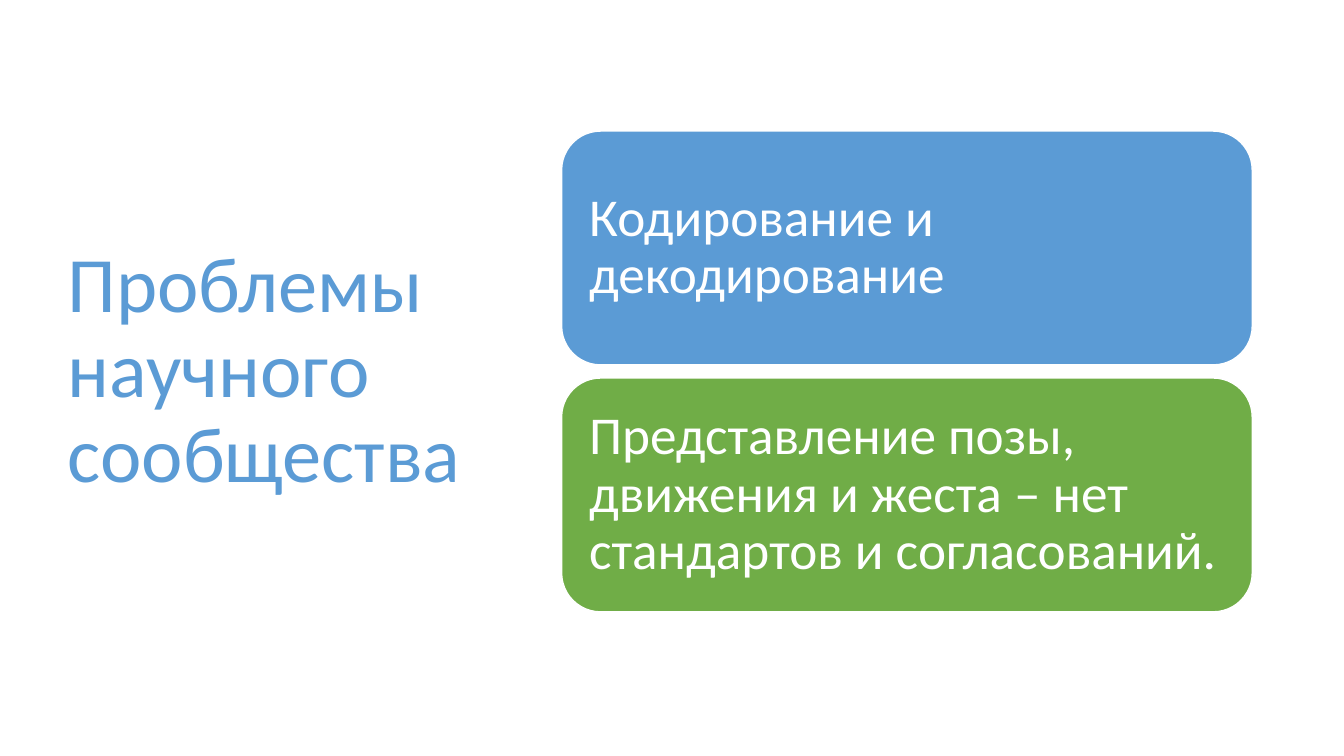
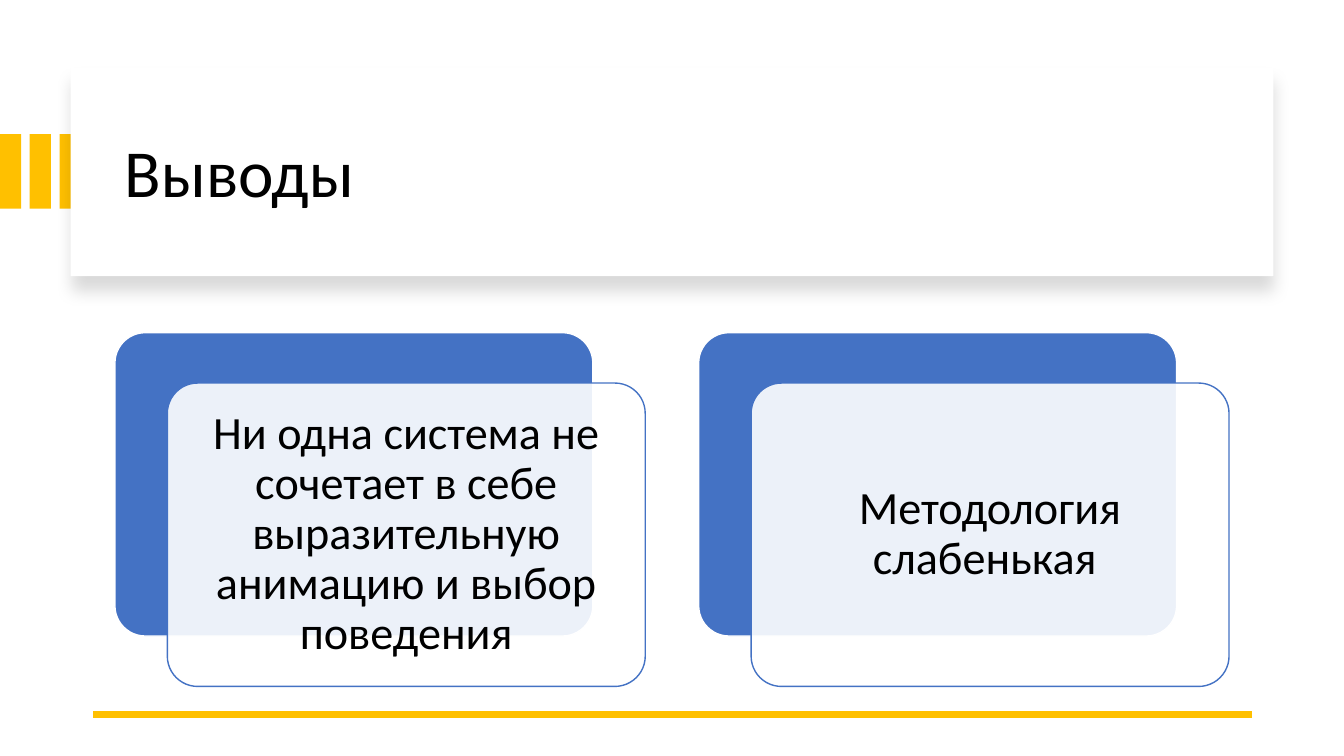
from dataclasses import dataclass
from typing import Optional

from lxml.etree import SubElement
from pptx import Presentation
from pptx.dml.color import RGBColor
from pptx.enum.shapes import MSO_CONNECTOR, MSO_SHAPE
from pptx.enum.text import MSO_ANCHOR, PP_ALIGN
from pptx.oxml.ns import qn
from pptx.util import Inches, Pt

FONT = "Calibri"
COLORS = {
    "white": "FFFFFF",
    "black": "000000",
    "sky": "5B9BD5",
    "green": "70AD47",
    "blue": "4472C4",
    "gold": "FFC000",
}


@dataclass(frozen=True)
class Box:
    left: float
    top: float
    width: float
    height: float

    def lengths(self):
        return [Inches(n) for n in (self.left, self.top, self.width, self.height)]

    def moved(self, right: float = 0, down: float = 0) -> "Box":
        return Box(self.left + right, self.top + down, self.width, self.height)


@dataclass(frozen=True)
class TextStyle:
    size: float
    color: str
    align: PP_ALIGN = PP_ALIGN.LEFT
    margin: Optional[float] = None


@dataclass(frozen=True)
class Problem:
    text: str
    color: str


PROBLEMS = [
    Problem("Кодирование и декодирование", "sky"),
    Problem("Представление позы, движения и жеста – нет стандартов и согласований.", "green"),
]
CONCLUSIONS = [
    "Ни одна система не сочетает в себе выразительную анимацию и выбор поведения",
    "Методология слабенькая ",
]
PROBLEM_TEXT = TextStyle(38, "white", margin=0.16)
CONCLUSION_TEXT = TextStyle(33, "black", PP_ALIGN.CENTER, 0.14)


def rgb(color: str) -> RGBColor:
    return RGBColor.from_string(COLORS[color])


def write(shape, text: str, style: TextStyle) -> None:
    frame = shape.text_frame
    frame.word_wrap = True
    frame.vertical_anchor = MSO_ANCHOR.MIDDLE
    if style.margin is not None:
        frame.margin_left = frame.margin_right = Inches(style.margin)
        frame.margin_top = frame.margin_bottom = Inches(style.margin)
    paragraph = frame.paragraphs[0]
    paragraph.text = text
    paragraph.alignment = style.align
    paragraph.line_spacing = 0.9
    paragraph.font.name = FONT
    paragraph.font.size = Pt(style.size)
    paragraph.font.color.rgb = rgb(style.color)


def add_title(slide, text: str, box: Box, style: TextStyle) -> None:
    write(slide.shapes.add_textbox(*box.lengths()), text, style)


def add_block(slide, box: Box, fill: str, outline: Optional[str] = None,
              corner: Optional[float] = None, kind=MSO_SHAPE.ROUNDED_RECTANGLE):
    block = slide.shapes.add_shape(kind, *box.lengths())
    block.shadow.inherit = False
    block.fill.solid()
    block.fill.fore_color.rgb = rgb(fill)
    if outline:
        block.line.color.rgb = rgb(outline)
        block.line.width = Pt(1)
    else:
        block.line.fill.background()
    if corner is not None:
        block.adjustments[0] = corner
    return block


def set_opacity(block, percent: int) -> None:
    color = block.fill._xPr.find(qn("a:solidFill"))[0]
    SubElement(color, qn("a:alpha"), val=str(percent * 1000))


def drop_shadow(block) -> None:
    """Cast a soft black shadow straight down."""
    effects = block._element.spPr.find(qn("a:effectLst"))
    shadow = SubElement(effects, qn("a:outerShdw"), blurRad=str(Pt(11)), dist=str(Pt(10)),
                        dir="5400000", algn="t", rotWithShape="0")
    color = SubElement(shadow, qn("a:srgbClr"), val=COLORS["black"])
    SubElement(color, qn("a:alpha"), val="15000")


def add_rule(slide, left: float, right: float, y: float) -> None:
    rule = slide.shapes.add_connector(
        MSO_CONNECTOR.STRAIGHT, Inches(right), Inches(y), Inches(left), Inches(y))
    rule.line.color.rgb = rgb("gold")
    rule.line.width = Pt(4.5)
    SubElement(rule._element.spPr, qn("a:effectLst"))


def add_conclusion(slide, box: Box, text: str) -> None:
    """Draw a blue card with a translucent text card offset over it."""
    add_block(slide, box, "blue", "white", 0.1)
    front = add_block(slide, box.moved(0.52, 0.5), "white", "blue", 0.1)
    set_opacity(front, 90)
    write(front, text, CONCLUSION_TEXT)


def build_problems(slide) -> None:
    add_title(slide, "Проблемы научного сообщества",
              Box(0.57, 0.68, 4.16, 6.02), TextStyle(56, "sky"))
    first = Box(5.57, 1.3, 6.85, 2.32)
    for index, problem in enumerate(PROBLEMS):
        block = add_block(slide, first.moved(down=index * 2.45), problem.color, "white")
        write(block, problem.text, PROBLEM_TEXT)


def build_conclusions(slide) -> None:
    stripe = Box(0, 1.33, 0.21, 0.74)
    for index in range(3):
        add_block(slide, stripe.moved(index * 0.295), "gold", kind=MSO_SHAPE.RECTANGLE)
    banner = add_block(slide, Box(0.7, 0.67, 11.93, 2.07), "white", kind=MSO_SHAPE.RECTANGLE)
    drop_shadow(banner)
    add_title(slide, "Выводы", Box(1.14, 0.89, 11.13, 1.7), TextStyle(48, "black"))
    add_rule(slide, 0.92, 12.42, 7.09)
    first = Box(1.14, 3.3, 4.74, 3.01)
    for index, text in enumerate(CONCLUSIONS):
        add_conclusion(slide, first.moved(index * 5.79), text)


def main() -> None:
    deck = Presentation()
    deck.slide_width = Inches(13.33)
    deck.slide_height = Inches(7.5)
    blank = deck.slide_layouts[6]
    for build in (build_problems, build_conclusions):
        build(deck.slides.add_slide(blank))
    deck.save("out.pptx")


if __name__ == "__main__":
    main()
